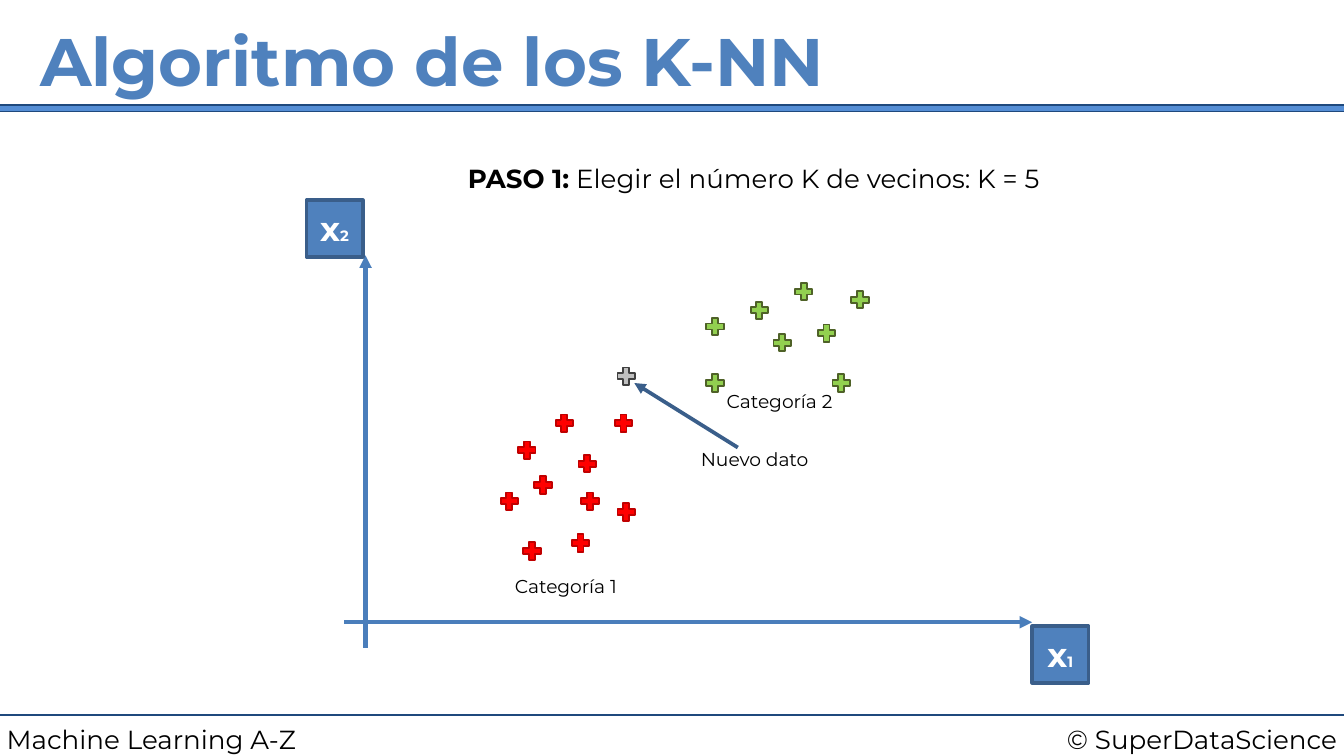
from lxml.etree import SubElement
from pptx import Presentation
from pptx.dml.color import RGBColor
from pptx.enum.shapes import MSO_CONNECTOR, MSO_SHAPE
from pptx.enum.text import MSO_ANCHOR, PP_ALIGN
from pptx.oxml.ns import qn
from pptx.util import Inches, Pt

FONT = "Montserrat"
COLORS = {
    "navy": "1F497D", "bar": "558ED5", "blue": "4F81BD", "axis": "4A7EBB",
    "edge": "3A5E8A", "black": "000000", "white": "FFFFFF",
    "red": "FF0000", "dark red": "C00000", "green": "92D050",
    "dark green": "4F6228", "gray": "BFBFBF", "dark gray": "404040",
}

# Content: text spans are (text, overrides)
TITLE = "Algoritmo de los K-NN"
STEP = [("PASO 1:", {"bold": True}), (" Elegir el número K de vecinos: K = 5", {})]
# Text boxes: spans, (left, top, width, height), size, alignment
LABELS = [
    ([("© SuperDataScience", {})], (7.08, 5.33, 2.92, 0.34), 14, PP_ALIGN.RIGHT),
    ([("Machine Learning A-Z", {})], (0, 5.33, 3.25, 0.34), 14, PP_ALIGN.LEFT),
    (STEP, (2.95, 1.16, 5.32, 0.34), 14, PP_ALIGN.CENTER),
    ([("Nuevo dato", {})], (4.9, 3.28, 1.43, 0.27), 10, PP_ALIGN.CENTER),
    ([("Categoría 1", {})], (3.68, 4.23, 1.06, 0.27), 10, PP_ALIGN.CENTER),
    ([("Categoría 2", {})], (5.27, 2.85, 1.06, 0.27), 10, PP_ALIGN.CENTER),
]
# Data points: fill, outline, cross centers
POINTS = [
    ("red", "dark red", [
        (3.79, 3.73), (4.04, 3.61), (4.37, 3.45), (3.92, 3.35), (4.2, 3.15),
        (4.39, 3.73), (4.64, 3.15), (4.32, 4.04), (4.66, 3.81), (3.96, 4.1)]),
    ("green", "dark green", [
        (5.98, 2.17), (6.15, 2.48), (5.82, 2.55), (5.32, 2.43),
        (6.26, 2.85), (5.32, 2.85), (5.65, 2.31), (6.4, 2.23)]),
    ("gray", "dark gray", [(4.66, 2.8)]),
]
CROSS_SIZE = 0.13
# Lines: start, end, color, width, arrowhead
LINES = [
    ((0, 5.32), (10, 5.32), "navy", 1.5, False),
    ((2.72, 4.82), (2.72, 1.9), "axis", 2.25, True),
    ((2.56, 4.63), (7.68, 4.63), "axis", 2.25, True),
    ((5.49, 3.33), (4.72, 2.85), "edge", 2, True),
]
# Axis names: subscript, left, top
AXES = [("1", 7.68, 4.66), ("2", 2.28, 1.49)]
AXIS_BOX = 0.42


def rgb(name):
    return RGBColor.from_string(COLORS[name])


def write(frame, spans, size, color="black", bold=False, align=PP_ALIGN.LEFT,
          anchor=MSO_ANCHOR.TOP):
    frame.word_wrap = True
    frame.vertical_anchor = anchor
    frame.margin_left = frame.margin_right = Inches(0.05)
    frame.margin_top = frame.margin_bottom = Inches(0.05)
    para = frame.paragraphs[0]
    para.alignment = align
    for text, changes in spans:
        span = para.add_run()
        span.text = text
        span.font.name = FONT
        span.font.size = Pt(changes.get("size", size))
        span.font.bold = changes.get("bold", bold)
        span.font.color.rgb = rgb(color)
    return para


def add_filled(page, kind, place, fill, outline, width):
    shape = page.shapes.add_shape(kind, *map(Inches, place))
    shape.shadow.inherit = False
    shape.fill.solid()
    shape.fill.fore_color.rgb = rgb(fill)
    shape.line.color.rgb = rgb(outline)
    shape.line.width = Pt(width)
    return shape


def add_line(page, start, end, color, width, arrow):
    line = page.shapes.add_connector(
        MSO_CONNECTOR.STRAIGHT, *map(Inches, start + end))
    line.line.color.rgb = rgb(color)
    line.line.width = Pt(width)
    properties = line._element.spPr
    if arrow:
        SubElement(properties.find(qn("a:ln")), qn("a:tailEnd"), type="triangle")
    SubElement(properties, qn("a:effectLst"))


# Widescreen page, 16:9
deck = Presentation()
deck.slide_width = Inches(10)
deck.slide_height = Inches(10) * 9 // 16
page = deck.slides.add_slide(deck.slide_layouts[5])

# Title and the bar below it
add_filled(page, MSO_SHAPE.RECTANGLE, (-0.04, 0.78, 10.08, 0.05), "bar", "navy", 0.75)
title = page.shapes.title
title.left, title.top, title.width, title.height = map(Inches, (0.25, 0.08, 9.5, 0.81))
heading = write(title.text_frame, [(TITLE, {})], 36, color="blue", bold=True,
                anchor=MSO_ANCHOR.MIDDLE)
heading.line_spacing = 0.9

# Footer rule, axes and pointer
for line in LINES:
    add_line(page, *line)

# Data points
for fill, outline, centers in POINTS:
    for x, y in centers:
        place = (x - CROSS_SIZE / 2, y - CROSS_SIZE / 2, CROSS_SIZE, CROSS_SIZE)
        cross = add_filled(page, MSO_SHAPE.CROSS, place, fill, outline, 1)
        cross.adjustments[0] = 0.33

# Text labels
for spans, place, size, align in LABELS:
    box = page.shapes.add_textbox(*map(Inches, place))
    write(box.text_frame, spans, size, align=align)

# Axis names
for subscript, left, top in AXES:
    box = add_filled(page, MSO_SHAPE.RECTANGLE, (left, top, AXIS_BOX, AXIS_BOX),
                     "blue", "edge", 2)
    write(box.text_frame, [("x", {}), (subscript, {"size": 8})], 18, color="white",
          bold=True, align=PP_ALIGN.CENTER, anchor=MSO_ANCHOR.MIDDLE)

deck.save("out.pptx")
